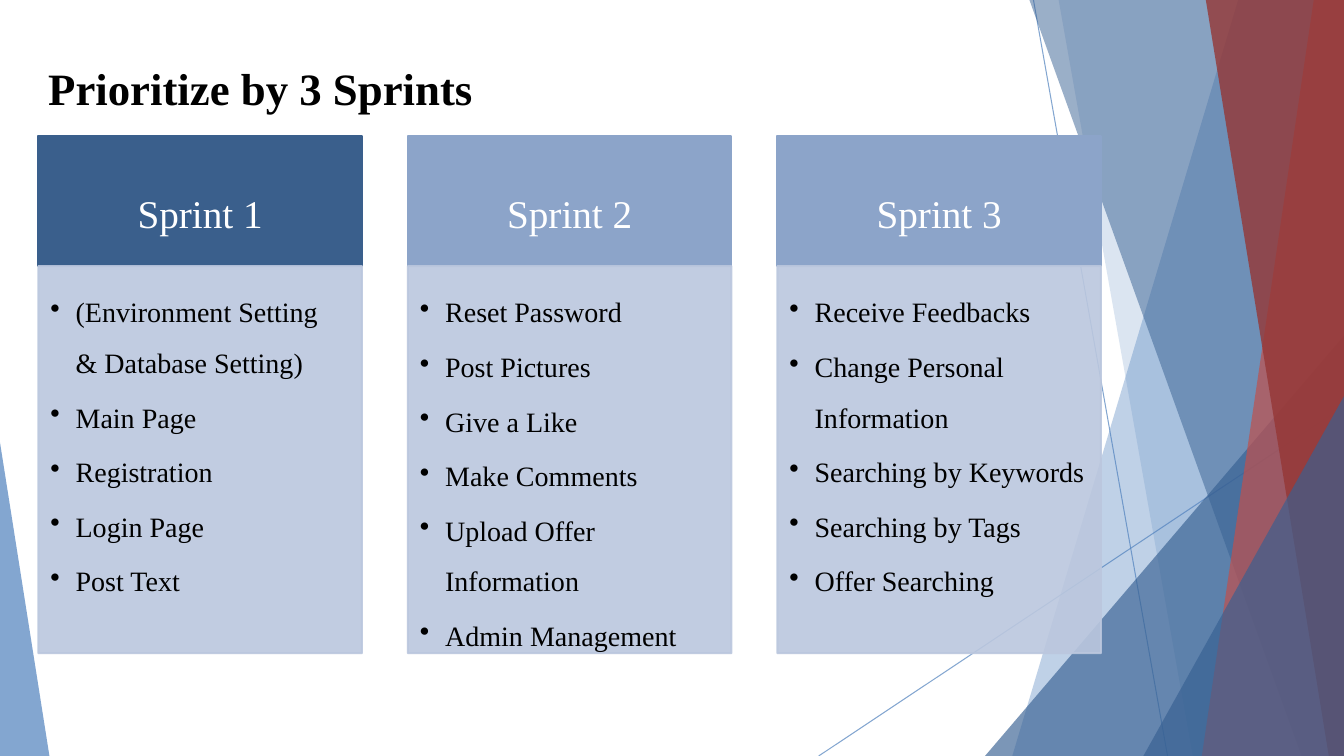
from dataclasses import dataclass

from pptx import Presentation
from pptx.dml.color import RGBColor
from pptx.enum.shapes import MSO_CONNECTOR, MSO_SHAPE
from pptx.enum.text import MSO_ANCHOR, MSO_AUTO_SIZE, PP_ALIGN
from pptx.oxml.ns import qn
from pptx.util import Inches, Pt
from lxml.etree import SubElement


@dataclass(frozen=True)
class Theme:
    font: str = "Times New Roman"
    title_size: int = 32
    header_size: int = 28
    item_size: int = 20
    text: str = "000000"
    header_text: str = "FFFFFF"
    blue: str = "4F81BD"
    navy: str = "376092"
    red: str = "C0504D"
    dark_red: str = "953735"
    current: str = "3A5F8C"
    upcoming: str = "8CA4C9"
    panel: str = "BBC7DE"


theme = Theme()


def paint(sp, fill, opacity=100, outlined=False):
    """Fill a shape, with a matching outline if wanted, at one opacity."""
    sp.shadow.inherit = False
    sp.fill.solid()
    sp.fill.fore_color.rgb = RGBColor.from_string(fill)
    if outlined:
        sp.line.color.rgb = RGBColor.from_string(fill)
        sp.line.width = Pt(1.5)
    else:
        sp.line.fill.background()
    if opacity < 100:
        for clr in sp.element.spPr.iter(qn("a:srgbClr")):
            SubElement(clr, qn("a:alpha"), val=str(opacity * 1000))


def style(p, size, color, after=0):
    p.line_spacing = 1.5
    p.space_after = Pt(after)
    p.font.name = theme.font
    p.font.size = Pt(size)
    p.font.color.rgb = RGBColor.from_string(color)


prs = Presentation()
prs.slide_width, prs.slide_height = Inches(13.33), Inches(7.5)
s = prs.slides.add_slide(prs.slide_layouts[6])
right, bottom = prs.slide_width, prs.slide_height

# Thin lines behind the bands
for x1, y1, x2, y2 in [(10.25, 0, 11.58, 7.5), (13.33, 4.03, 8.12, 7.5)]:
    line = s.shapes.add_connector(
        MSO_CONNECTOR.STRAIGHT, Inches(x1), Inches(y1), Inches(x2), Inches(y2))
    line.line.width = Pt(0.75)
    line.line.color.rgb = RGBColor.from_string(theme.blue)
    for clr in line.element.spPr.iter(qn("a:srgbClr")):
        SubElement(clr, qn("a:alpha"), val="70000")
    SubElement(line.element.spPr, qn("a:effectLst"))

# Bands reach the right edge: (top x, bottom x)
# Triangles stand on the bottom edge: (left, top, width, apex)
decor = [
    ((12.28, 10.04), theme.blue, 36),
    ((10.5, 11.83), theme.blue, 20),
    ((9.77, 3.33, 3.56, 1), theme.navy, 66),
    ((10.21, 12.91), theme.navy, 50),
    ((13.03, 11.92), theme.red, 70),
    ((11.96, 13.18), theme.dark_red, 80),
    ((11.34, 3.93, 1.99, 1), theme.navy, 66),
    ((0, 4.39, 0.49, 0), theme.blue, 70),
]
for geometry, color, opacity in decor:
    if len(geometry) == 2:
        top_x, bottom_x = map(Inches, geometry)
        outline = s.shapes.build_freeform(top_x, 0)
        outline.add_line_segments([(right, 0), (right, bottom), (bottom_x, bottom)])
        sp = outline.convert_to_shape()
    else:
        left, top, width, apex = geometry
        sp = s.shapes.add_shape(
            MSO_SHAPE.ISOSCELES_TRIANGLE, Inches(left), Inches(top),
            Inches(width), bottom - Inches(top))
        sp.adjustments[0] = apex
    paint(sp, color, opacity)

# Title
title = s.shapes.add_textbox(Inches(0.38), Inches(0.29), Inches(8.83), Inches(0.81))
tf = title.text_frame
tf.word_wrap = True
tf.auto_size = MSO_AUTO_SIZE.SHAPE_TO_FIT_TEXT
p = tf.paragraphs[0]
p.text = "Prioritize by 3 Sprints"
p.font.bold = True
style(p, theme.title_size, theme.text)

# Sprint columns
sprints = [
    ("Sprint 1", theme.current,
     ["(Environment Setting & Database Setting)", "Main Page", "Registration",
      "Login Page", "Post Text"]),
    ("Sprint 2", theme.upcoming,
     ["Reset Password", "Post Pictures", "Give a Like", "Make Comments",
      "Upload Offer Information", "Admin Management"]),
    ("Sprint 3", theme.upcoming,
     ["Receive Feedbacks", "Change Personal Information",
      "Searching by Keywords", "Searching by Tags", "Offer Searching"]),
]
col_left, col_pitch, col_width = 0.38, 3.665, Inches(3.21)
for i, (name, color, items) in enumerate(sprints):
    x = Inches(col_left + i * col_pitch)

    # Header
    header = s.shapes.add_shape(
        MSO_SHAPE.RECTANGLE, x, Inches(1.35), col_width, Inches(1.29))
    paint(header, color, outlined=True)
    tf = header.text_frame
    tf.word_wrap = True
    tf.vertical_anchor = MSO_ANCHOR.MIDDLE
    tf.margin_left = tf.margin_right = Inches(0.22)
    tf.margin_top = tf.margin_bottom = Inches(0.12)
    p = tf.paragraphs[0]
    p.text = name
    p.alignment = PP_ALIGN.CENTER
    style(p, theme.header_size, theme.header_text, after=9.8)

    # Item list
    panel = s.shapes.add_shape(
        MSO_SHAPE.RECTANGLE, x, Inches(2.64), col_width, Inches(3.84))
    paint(panel, theme.panel, 90, outlined=True)
    tf = panel.text_frame
    tf.word_wrap = True
    tf.vertical_anchor = MSO_ANCHOR.TOP
    tf.margin_left = tf.margin_top = Inches(0.12)
    tf.margin_right, tf.margin_bottom = Inches(0.16), Inches(0.17)
    for j, item in enumerate(items):
        p = tf.add_paragraph() if j else tf.paragraphs[0]
        p.text = item
        p.level = 1
        p.alignment = PP_ALIGN.LEFT
        style(p, theme.item_size, theme.text, after=3)
        pPr = p._p.get_or_add_pPr()
        pPr.set("marL", str(Inches(0.25)))
        pPr.set("indent", str(-Inches(0.25)))
        bullet = pPr.makeelement(qn("a:buChar"), {"char": "•"})
        pPr.find(qn("a:defRPr")).addprevious(bullet)

prs.save("out.pptx")
